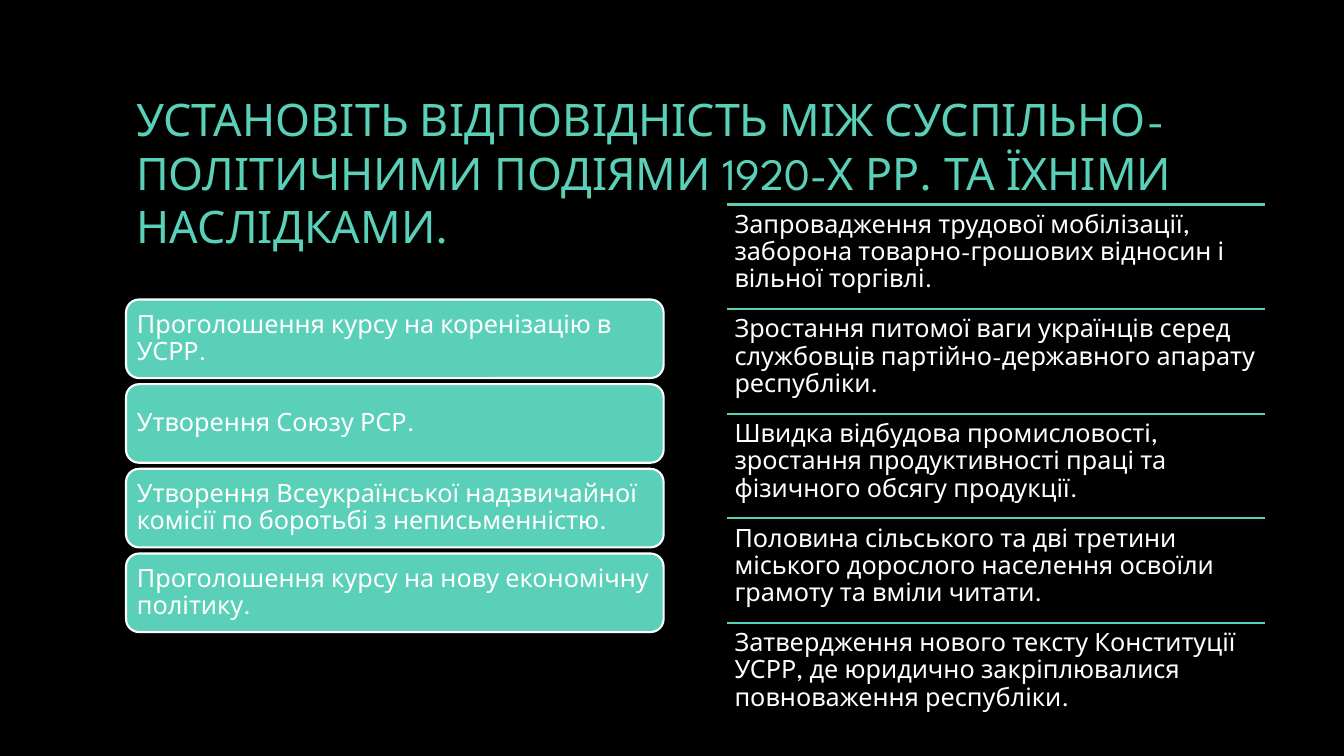
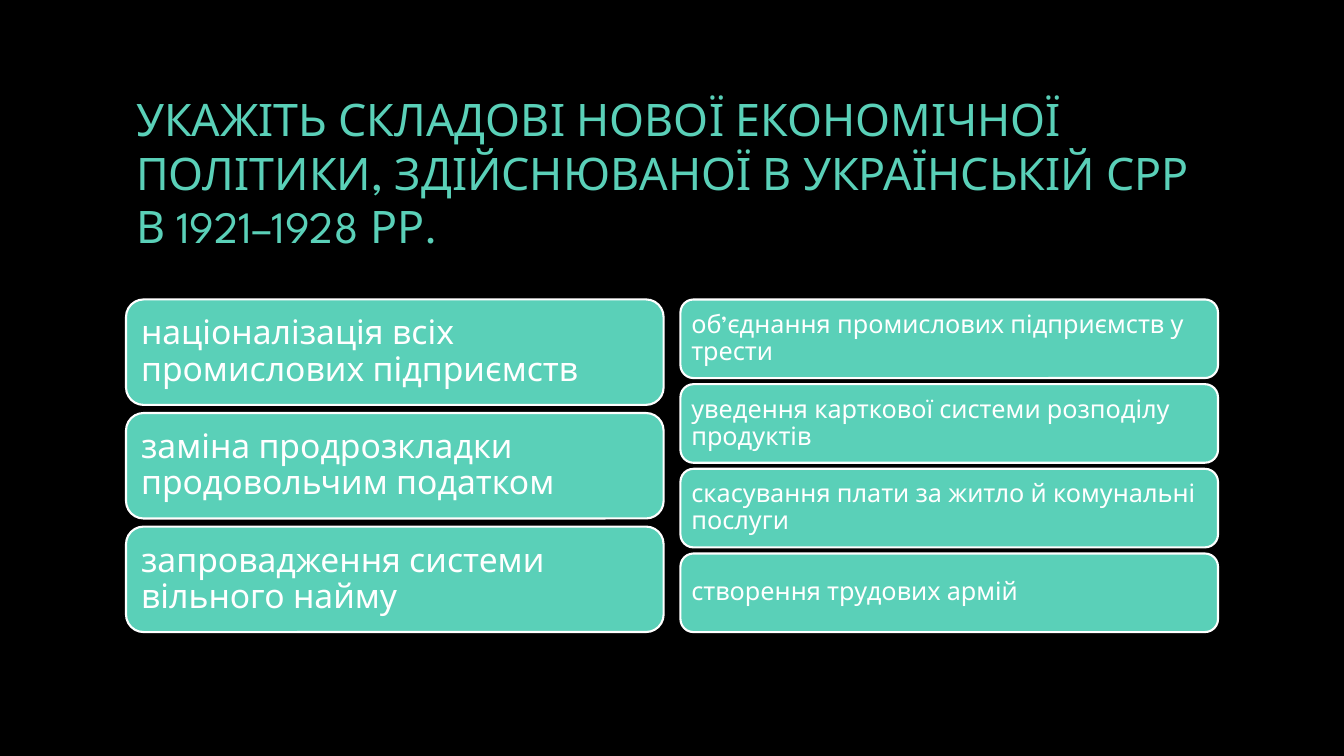
import pptx
import pptx.util
import pptx.dml.color
import pptx.enum.shapes
import pptx.enum.text
import lxml.etree

FONT = "League Spartan"
MINT, WHITE, BLACK = "5AD0B8", "FFFFFF", "000000"
COLS, ROWS = 160, 90  # square grid cells
WIDE, HIGH = pptx.util.Inches(13.333), pptx.util.Inches(7.5)

# Boxes as left, top, width, height in grid cells
HEAD = (15, 8, 130, 25)
LEFT = (15, 35.65, 64, 39.6)
RIGHT = (81, 35.65, 64, 39.6)
SIDE = (86.6, 24.35, 64, 62.25)


def grid(x, y, w, h):
    cell = HIGH / ROWS
    return [round(n * cell) for n in (x, y, w, h)]


def tint(code):
    return pptx.dml.color.RGBColor.from_string(code)


def write(shape, text, size, color, inset, anchor, lead=0.9):
    frame = shape.text_frame
    frame.word_wrap = True
    frame.auto_size = pptx.enum.text.MSO_AUTO_SIZE.NONE
    frame.vertical_anchor = anchor
    frame.margin_left = frame.margin_right = pptx.util.Inches(inset)
    frame.margin_top = frame.margin_bottom = pptx.util.Inches(inset)
    frame.text = text
    para = frame.paragraphs[0]
    para.alignment = pptx.enum.text.PP_ALIGN.LEFT
    para.line_spacing = lead
    para.font.name, para.font.size = FONT, pptx.util.Pt(size)
    para.font.color.rgb = tint(color)


def stroke(line, color):
    line.color.rgb = tint(color)
    line.width = pptx.util.Pt(1.5)


def cards(slide, box, items, size, inset):
    """Stack of rounded cards that fills the box."""
    x, y, w, h = box
    ratio = 1 / 13  # gap as a share of card height
    tall = h / (len(items) + (len(items) - 1) * ratio)
    for i, text in enumerate(items):
        card = slide.shapes.add_shape(
            pptx.enum.shapes.MSO_SHAPE.ROUNDED_RECTANGLE,
            *grid(x, y + i * tall * (1 + ratio), w, tall))
        card.shadow.inherit = False
        card.fill.solid()
        card.fill.fore_color.rgb = tint(MINT)
        stroke(card.line, WHITE)
        write(card, text, size, WHITE, inset, pptx.enum.text.MSO_ANCHOR.MIDDLE)


def ruled(slide, box, items):
    """Equal rows of text, each under a thin rule."""
    x, y, w, h = box
    step = h / len(items)
    for i, text in enumerate(items):
        left, top, wide, tall = grid(x, y + i * step, w, step)
        rule = slide.shapes.add_connector(
            pptx.enum.shapes.MSO_CONNECTOR.STRAIGHT, left, top, left + wide, top)
        stroke(rule.line, MINT)
        lxml.etree.SubElement(rule._element.spPr, pptx.oxml.ns.qn("a:effectLst"))
        row = slide.shapes.add_textbox(left, top, wide, tall)
        write(row, text, 18, WHITE, 0.07, pptx.enum.text.MSO_ANCHOR.TOP)


def start():
    """Deck with the shared background and title place."""
    deck = pptx.Presentation()
    deck.slide_width, deck.slide_height = WIDE, HIGH
    fill = deck.slide_master.background.fill
    fill.solid()
    fill.fore_color.rgb = tint(BLACK)
    head = deck.slide_layouts[5].placeholders[0]
    head.left, head.top, head.width, head.height = grid(*HEAD)
    return deck


def page(deck, title):
    slide = deck.slides.add_slide(deck.slide_layouts[5])
    write(slide.shapes.title, title, 32, MINT, 0.1,
          pptx.enum.text.MSO_ANCHOR.MIDDLE, 1.0)
    return slide


def match(deck):
    """Events on the left, outcomes on the right."""
    slide = page(deck, "УСТАНОВІТЬ ВІДПОВІДНІСТЬ МІЖ СУСПІЛЬНО-ПОЛІТИЧНИМИ "
                       "ПОДІЯМИ 1920-Х РР. ТА ЇХНІМИ НАСЛІДКАМИ.")
    cards(slide, LEFT, [
        "Проголошення курсу на коренізацію в УСРР.",
        "Утворення Союзу РСР.",
        "Утворення Всеукраїнської надзвичайної комісії по боротьбі з неписьменністю.",
        "Проголошення курсу на нову економічну політику.",
    ], 18, 0.07)
    ruled(slide, SIDE, [
        "Запровадження трудової мобілізації, заборона товарно-грошових відносин "
        "і вільної торгівлі.",
        "Зростання питомої ваги українців серед службовців партійно-державного "
        "апарату республіки.",
        "Швидка відбудова промисловості, зростання продуктивності праці та "
        "фізичного обсягу продукції.",
        "Половина сільського та дві третини міського дорослого населення освоїли "
        "грамоту та вміли читати.",
        "Затвердження нового тексту Конституції УСРР, де юридично закріплювалися "
        "повноваження республіки.",
    ])


def choose(deck):
    """Options in two stacks of cards."""
    slide = page(deck, "УКАЖІТЬ СКЛАДОВІ НОВОЇ ЕКОНОМІЧНОЇ ПОЛІТИКИ, "
                       "ЗДІЙСНЮВАНОЇ В УКРАЇНСЬКІЙ СРР В 1921–1928 РР.")
    cards(slide, LEFT, [
        "націоналізація всіх промислових підприємств",
        "заміна продрозкладки продовольчим податком",
        "запровадження системи вільного найму",
    ], 24, 0.1)
    cards(slide, RIGHT, [
        "об’єднання промислових підприємств у трести",
        "уведення карткової системи розподілу продуктів",
        "скасування плати за житло й комунальні послуги",
        "створення трудових армій",
    ], 18, 0.07)


def main():
    deck = start()
    match(deck)
    choose(deck)
    deck.save("out.pptx")


if __name__ == "__main__":
    main()
